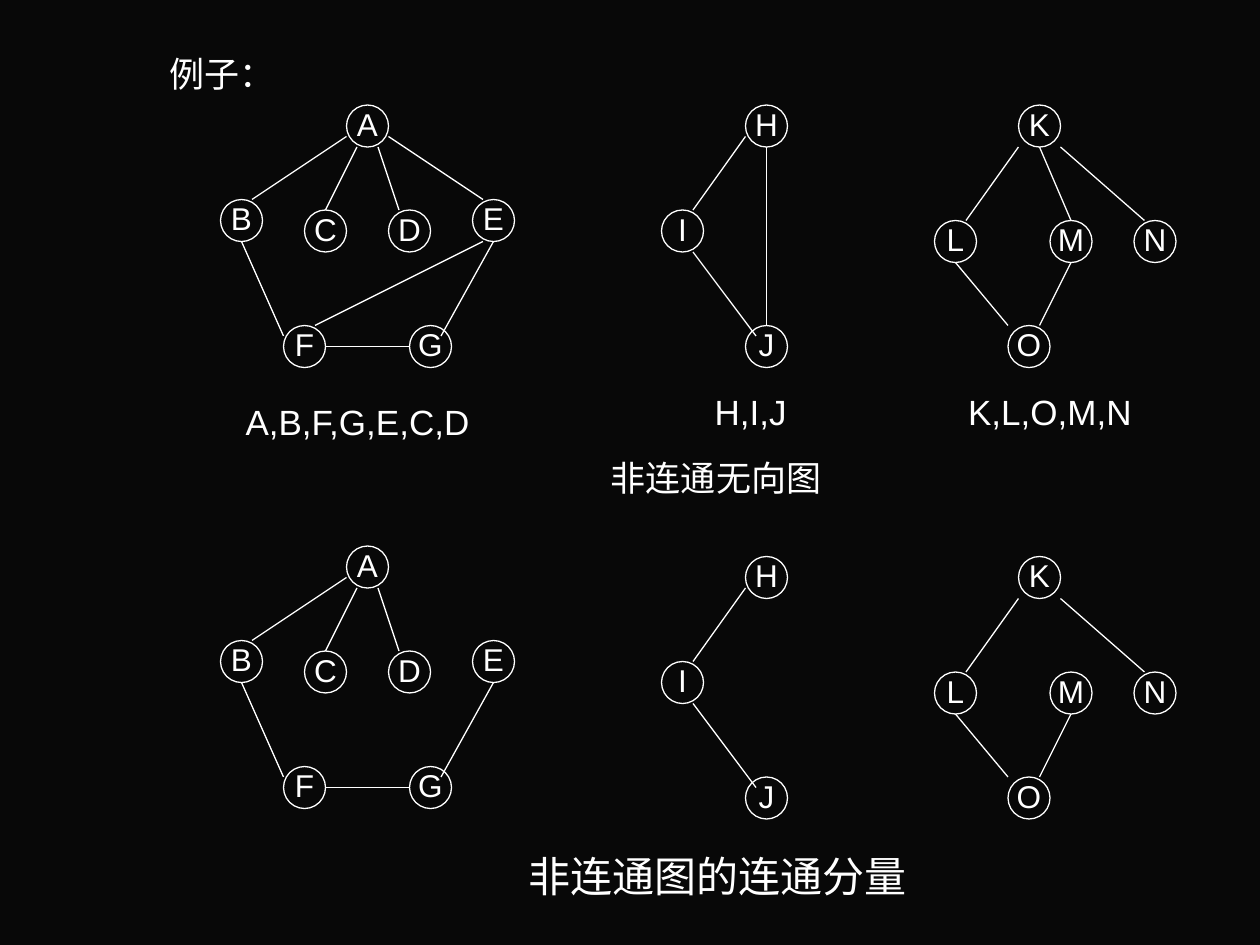
from lxml.etree import SubElement
from pptx import Presentation
from pptx.dml.color import RGBColor
from pptx.enum.shapes import MSO_CONNECTOR, MSO_SHAPE
from pptx.enum.text import MSO_ANCHOR, MSO_AUTO_SIZE, PP_ALIGN
from pptx.oxml.ns import qn
from pptx.util import Inches, Pt

INK = {"back": "080808", "front": "FFFFFF"}
SIZE = 4
LATIN, SERIF = "Arial", "Times New Roman"

FIVE = {
    "A": (33, 10), "B": (21, 19), "C": (29, 20), "D": (37, 20),
    "E": (45, 19), "F": (27, 31), "G": (39, 31),
}
THREE = {"H": (71, 10), "J": (71, 31), "I": (63, 20)}
FOUR = {"K": (97, 10), "L": (89, 21), "M": (100, 21), "N": (108, 21), "O": (96, 31)}

EDGES = {
    "AB": ((0, 3), (3, 0)), "AC": ((1, 4), (2, 0)),
    "AD": ((3, 4), (1, 0)), "AE": ((4, 3), (1, 0)),
    "BF": ((2, 4), (0, 1)), "FG": ((4, 2), (0, 2)),
    "EG": ((2, 4), (3, 1)), "EF": ((1, 4), (3, 0)),
    "HJ": ((2, 4), (2, 0)), "HI": ((0, 3), (3, 0)),
    "IJ": ((3, 4), (1, 1)), "KL": ((0, 4), (3, 0)),
    "KM": ((2, 4), (2, 0)), "LO": ((2, 4), (0, 0)),
    "MO": ((2, 4), (3, 0)), "KN": ((4, 4), (1, 0)),
}
EXTRA = {"AE", "EF", "HJ", "KM"}

LABELS = [
    ("非连通无向图", (57, 43.3, 22.4, 4.8), 20, SERIF),
    ("非连通图的连通分量", (49.1, 81, 38.4, 5.5), 24, SERIF),
    ("A,B,F,G,E,C,D", (22, 38, 24.1, 4.8), 20, LATIN),
    ("H,I,J", (66, 37, 11, 4.8), 20, LATIN),
    ("K,L,O,M,N", (91, 37, 18, 4.8), 20, LATIN),
]


def grid(*cells):
    return [Inches(cell / 12) for cell in cells]


def color(name):
    return RGBColor.from_string(INK[name])


def write(par, text, size, face):
    run = par.add_run()
    run.text = text
    run.font.size = Pt(size)
    run.font.name = face
    run.font.color.rgb = color("front")


def center(frame, text, size, face):
    frame.word_wrap = False
    frame.vertical_anchor = MSO_ANCHOR.MIDDLE
    par = frame.paragraphs[0]
    par.alignment = PP_ALIGN.CENTER
    par.line_spacing = 0.9
    write(par, text, size, face)


def stroke(line):
    line.color.rgb = color("front")
    line.width = Pt(0.75)


def node(group, name, col, row):
    shape = group.shapes.add_shape(MSO_SHAPE.OVAL, *grid(col, row, SIZE, SIZE))
    shape.shadow.inherit = False
    shape.fill.background()
    stroke(shape.line)
    center(shape.text_frame, name, 18, LATIN)


def edge(group, start, end):
    line = group.shapes.add_connector(MSO_CONNECTOR.STRAIGHT, *grid(*start, *end))
    stroke(line.line)
    SubElement(line._element.spPr, qn("a:effectLst"))


def graph(group, nodes, drop=0, skip=()):
    spots = {name: (col, row + drop) for name, (col, row) in nodes.items()}
    for name, spot in spots.items():
        node(group, name, *spot)
    for pair, shifts in EDGES.items():
        if pair[0] in spots and pair not in skip:
            ends = [
                (spots[name][0] + right, spots[name][1] + down)
                for name, (right, down) in zip(pair, shifts)
            ]
            edge(group, *ends)


def label(slide, text, place, size, face):
    frame = slide.shapes.add_textbox(*grid(*place)).text_frame
    center(frame, text, size, face)
    frame.auto_size = MSO_AUTO_SIZE.SHAPE_TO_FIT_TEXT


def body(slide):
    holder = slide.placeholders[1]
    holder.left, holder.top, holder.width, holder.height = grid(14, 4, 102, 42)
    frame = holder.text_frame
    frame.margin_left = Inches(0.18)
    frame.margin_top = Inches(0.08)
    par = frame.paragraphs[0]
    props = par._p.get_or_add_pPr()
    props.set("marL", "0")
    props.set("indent", "0")
    SubElement(props, qn("a:buNone"))
    par.space_before = Pt(0)
    write(par, "例子：", 20, SERIF)


def main():
    deck = Presentation()
    deck.slide_width, deck.slide_height = grid(120, 90)
    slide = deck.slides.add_slide(deck.slide_layouts[1])
    title = slide.shapes.title._element
    title.getparent().remove(title)
    slide.background.fill.solid()
    slide.background.fill.fore_color.rgb = color("back")
    body(slide)
    for nodes, drop in ((FIVE, 42), (THREE, 43), (FOUR, 43)):
        graph(slide.shapes.add_group_shape(), nodes, drop, EXTRA)
    for item in LABELS:
        label(slide, *item)
    whole = slide.shapes.add_group_shape()
    for nodes in (FIVE, THREE, FOUR):
        graph(whole, nodes)
    deck.save("out.pptx")


if __name__ == "__main__":
    main()
